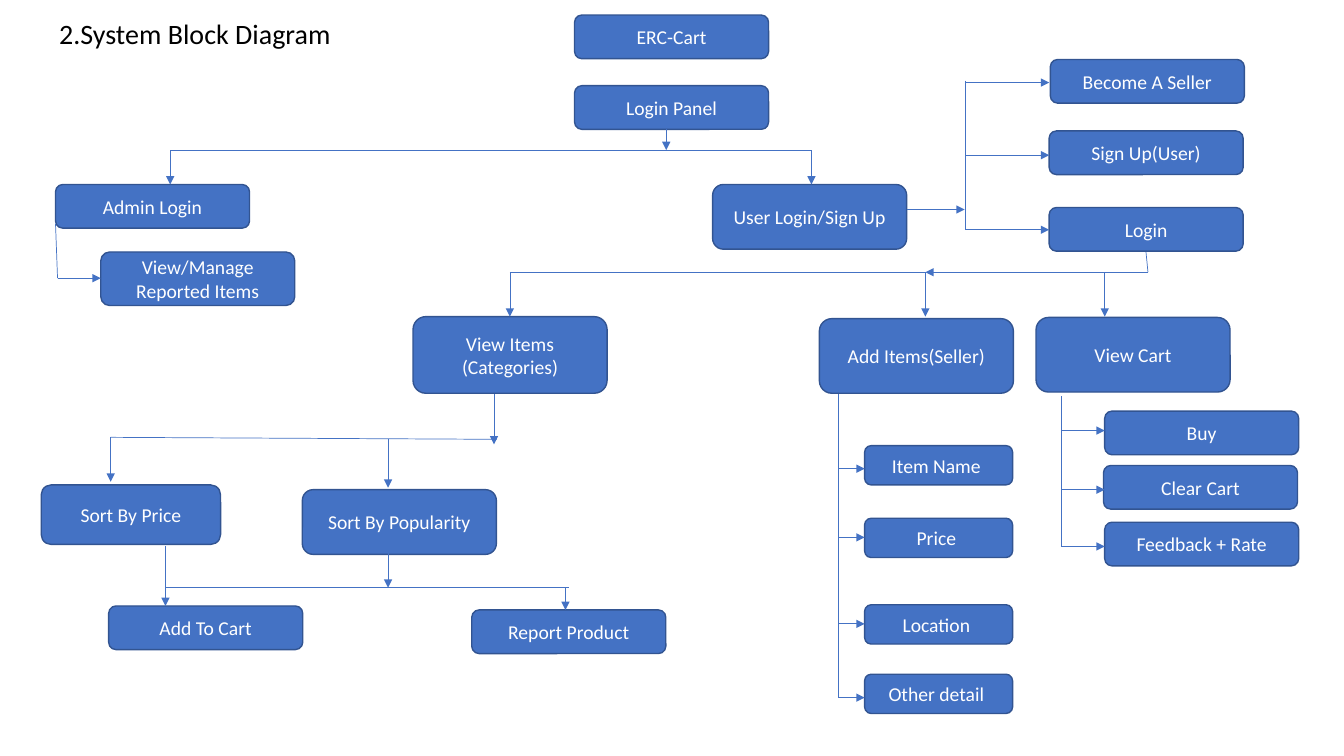
"""Build the system block diagram slide."""
import pptx
import pptx.dml.color
import pptx.enum.shapes
import pptx.enum.text
import pptx.oxml.ns
import pptx.util
from lxml import etree

Cm = pptx.util.Cm
Pt = pptx.util.Pt
COLORS = {"fill": "4472C4", "edge": "325491", "light": "FFFFFF", "dark": "000000"}
BOX_W, BOX_H = 4.89, 1.1
DETAIL_X, DETAIL_W, DETAIL_H = 21.79, 3.73, 0.99

BOXES = [
    ("ERC-Cart", 14.48, 0.38),
    ("Login Panel", 14.48, 2.16),
    ("Admin Login", 1.4, 4.65),
    ("View/Manage Reported Items", 2.54, 6.35, BOX_W, 1.35),
    ("User Login/Sign Up", 17.96, 4.65, BOX_W, 1.63),
    ("Become A Seller", 26.47, 1.5),
    ("Sign Up(User)", 26.44, 3.3),
    ("Login", 26.44, 5.23),
    ("View Items\n(Categories)", 10.41, 7.98, BOX_W, 1.93),
    ("Add Items(Seller)", 20.65, 8.03, BOX_W, 1.88),
    ("View Cart", 26.11, 8, BOX_W, 1.88),
    ("Sort By Price", 1.04, 12.22, 4.52, 1.5),
    ("Sort By Popularity", 7.62, 12.34, BOX_W, 1.63),
    ("Add To Cart", 2.74, 15.27),
    ("Report Product", 11.89, 15.37),
    ("Buy", 27.84, 10.36),
    ("Clear Cart", 27.81, 11.73),
    ("Feedback + Rate", 27.84, 13.16),
]
DETAILS = [("Item Name ", 11.23), ("Price ", 13.06),
           ("Location ", 15.24), ("Other detail ", 16.99)]

PLAIN_LINES = [
    (4.29, 3.78, 20.47, 3.78),
    (1.4, 5.64, 1.45, 7.01),
    (12.85, 6.86, 23.32, 6.86),
    (28.88, 6.35, 28.93, 6.86),
    (2.79, 11.02, 12.52, 11.07),
    (4.17, 14.81, 14.33, 14.81),
]
SIDE_ARROWS = [
    (1.45, 7.01, 2.54, 7.01),
    (22.86, 5.28, 24.31, 5.28),
    (28.93, 6.86, 23.32, 6.86),
]
DOWN_ARROWS = [
    (16.79, 3.25, 3.78), (4.29, 3.78, 4.65), (20.45, 3.78, 4.65),
    (12.85, 6.86, 7.98), (23.32, 6.86, 7.98), (27.84, 6.86, 7.98),
    (12.45, 9.93, 11.2), (2.79, 11.02, 12.14), (9.78, 11.07, 12.29),
    (9.78, 13.69, 14.81), (14.25, 14.81, 15.37), (4.17, 13.77, 15.27),
]
BRANCHES = [
    (24.33, 2.03, 26.44, [2.08, 3.91, 5.79]),
    (26.75, 9.98, 27.84, [10.85, 12.34, 13.77]),
    (21.13, 9.93, DETAIL_X, [11.81, 13.54, 15.72, 17.58]),
]


def rgb(name):
    """Return the named colour."""
    return pptx.dml.color.RGBColor.from_string(COLORS[name])


def write(tf, text, size, color):
    """Fill a text frame and set the font of its paragraphs."""
    tf.text = text
    for p in tf.paragraphs:
        p.font.name = "Calibri"
        p.font.size = Pt(size)
        p.font.color.rgb = rgb(color)


def add_box(s, text, x, y, w=BOX_W, h=BOX_H):
    """Add a rounded block with a centred label."""
    sp = s.shapes.add_shape(pptx.enum.shapes.MSO_SHAPE.ROUNDED_RECTANGLE,
                            Cm(x), Cm(y), Cm(w), Cm(h))
    sp.shadow.inherit = False
    sp.fill.solid()
    sp.fill.fore_color.rgb = rgb("fill")
    sp.line.color.rgb = rgb("edge")
    sp.line.width = Pt(1)
    tf = sp.text_frame
    tf.word_wrap = True
    tf.vertical_anchor = pptx.enum.text.MSO_ANCHOR.MIDDLE
    write(tf, text, 14, "light")
    for p in tf.paragraphs:
        p.alignment = pptx.enum.text.PP_ALIGN.CENTER


def add_line(s, x1, y1, x2, y2, arrow=False):
    """Add a thin connector, with an arrowhead at its end if asked."""
    sp = s.shapes.add_connector(pptx.enum.shapes.MSO_CONNECTOR.STRAIGHT,
                                Cm(x1), Cm(y1), Cm(x2), Cm(y2))
    sp.line.color.rgb = rgb("fill")
    sp.line.width = Pt(0.5)
    qn = pptx.oxml.ns.qn
    if arrow:
        ln = sp.line._get_or_add_ln()
        etree.SubElement(ln, qn("a:tailEnd"), type="triangle")
    etree.SubElement(sp._element.spPr, qn("a:effectLst"))


def add_branch(s, x, top, end, arms):
    """Add a vertical spine with an arrow to the right at each height."""
    add_line(s, x, top, x, arms[-1])
    for y in arms:
        add_line(s, x, y, end, y, arrow=True)


def add_title(s, text):
    """Add the slide heading."""
    sp = s.shapes.add_textbox(Cm(1.24), Cm(0.3), Cm(8.74), Cm(1.12))
    tf = sp.text_frame
    tf.word_wrap = False
    tf.auto_size = pptx.enum.text.MSO_AUTO_SIZE.SHAPE_TO_FIT_TEXT
    write(tf, text, 20, "dark")


def main():
    """Build and save the slide."""
    prs = pptx.Presentation()
    prs.slide_width, prs.slide_height = Cm(33.87), Cm(19.05)
    s = prs.slides.add_slide(prs.slide_layouts[6])
    for box in BOXES:
        add_box(s, *box)
    for text, y in DETAILS:
        add_box(s, text, DETAIL_X, y, DETAIL_W, DETAIL_H)
    for line in PLAIN_LINES:
        add_line(s, *line)
    for line in SIDE_ARROWS:
        add_line(s, *line, arrow=True)
    for x, top, bottom in DOWN_ARROWS:
        add_line(s, x, top, x, bottom, arrow=True)
    for branch in BRANCHES:
        add_branch(s, *branch)
    add_title(s, "2.System Block Diagram")
    prs.save("out.pptx")


main()
